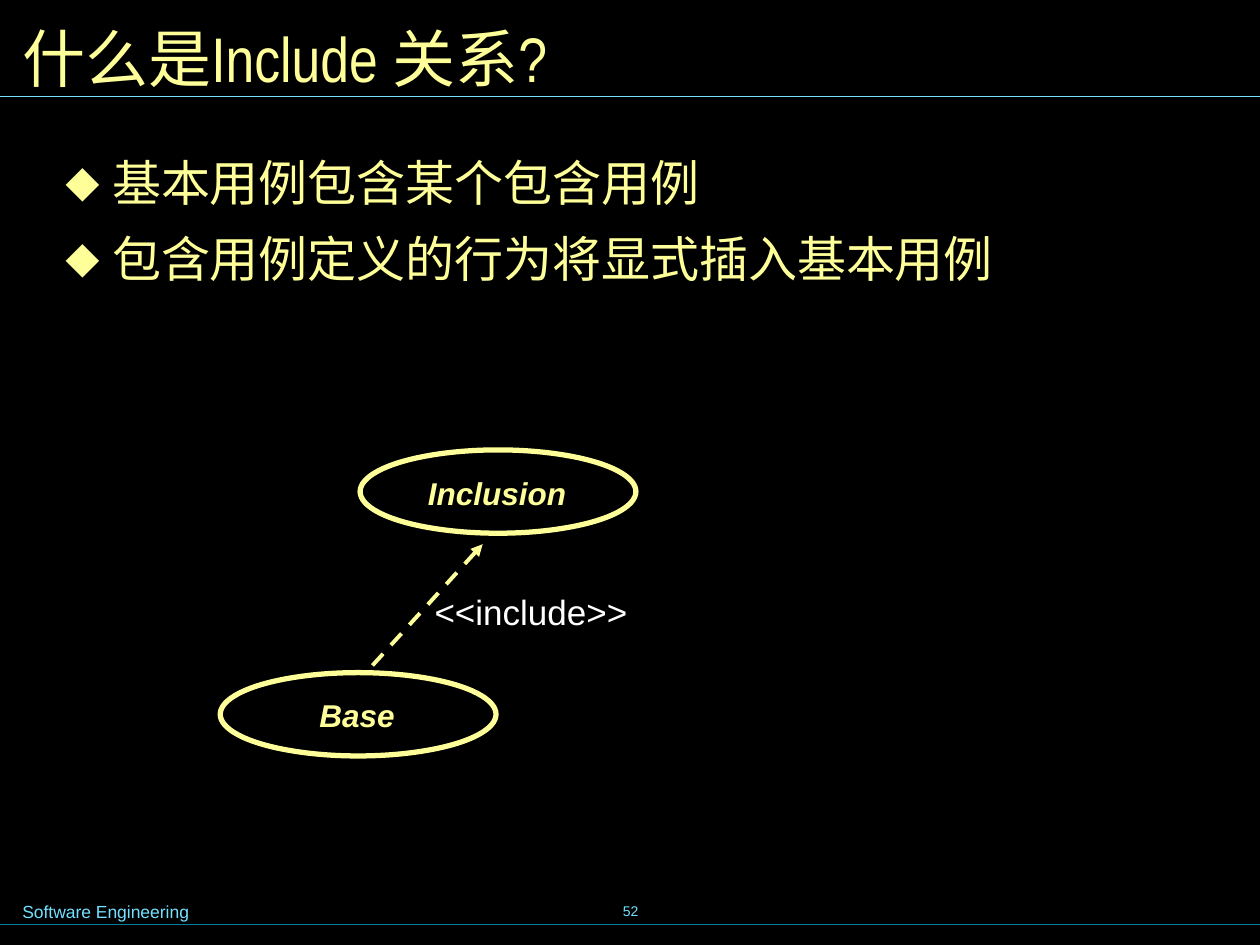
from dataclasses import dataclass

from lxml import etree
from pptx import Presentation
from pptx.dml.color import RGBColor
from pptx.enum.dml import MSO_LINE
from pptx.enum.shapes import MSO_CONNECTOR, MSO_SHAPE
from pptx.enum.text import MSO_ANCHOR, MSO_AUTO_SIZE, PP_ALIGN
from pptx.oxml.ns import qn
from pptx.util import Cm, Pt

LEFT, CENTER = PP_ALIGN.LEFT, PP_ALIGN.CENTER
TOP, MIDDLE = MSO_ANCHOR.TOP, MSO_ANCHOR.MIDDLE
STRAIGHT, OVAL, DASH = MSO_CONNECTOR.STRAIGHT, MSO_SHAPE.OVAL, MSO_LINE.DASH
FIXED, GROW = MSO_AUTO_SIZE.NONE, MSO_AUTO_SIZE.SHAPE_TO_FIT_TEXT


@dataclass(frozen=True)
class Theme:
    background: str = "000000"
    accent: str = "FFFF99"
    label: str = "FFFFFF"
    rule: str = "73E1FF"
    footer_rule: str = "007E9F"
    font: str = "Arial"
    title_font: str = "Arial Narrow"
    title_size: int = 36
    body_size: int = 28
    stereotype_size: int = 20
    use_case_size: int = 18
    footer_size: int = 10
    number_size: int = 8


THEME = Theme()
NARROW_INSETS, WIDE_INSETS = (0.25, 0.13), (0.3, 0.15)


@dataclass(frozen=True)
class Box:
    left: float
    top: float
    width: float
    height: float

    def lengths(self) -> list:
        return [Cm(v) for v in (self.left, self.top, self.width, self.height)]


@dataclass(frozen=True)
class Label:
    text: str
    box: Box
    size: int
    color: str = THEME.accent
    align: PP_ALIGN = LEFT
    anchor: MSO_ANCHOR = TOP
    fit: MSO_AUTO_SIZE = GROW
    wrap: bool = False
    insets: tuple = WIDE_INSETS
    strong: bool = False


@dataclass(frozen=True)
class Line:
    start: tuple
    end: tuple
    color: str
    width: float


def apply(target, values: dict) -> None:
    for attribute, value in values.items():
        setattr(target, attribute, value)


def format_frame(frame, insets: tuple, anchor, fit, wrap: bool) -> None:
    side, edge = map(Cm, insets)
    apply(frame, {"margin_left": side, "margin_right": side,
                  "margin_top": edge, "margin_bottom": edge,
                  "auto_size": fit, "word_wrap": wrap,
                  "vertical_anchor": anchor})


def format_font(font, name: str, size: int, color: str, strong: bool = False) -> None:
    apply(font, {"name": name, "size": Pt(size), "bold": strong, "italic": strong})
    font.color.rgb = RGBColor.from_string(color)


def place(shape, box: Box) -> None:
    apply(shape, dict(zip(("left", "top", "width", "height"), box.lengths())))


def add_label(slide, label: Label) -> None:
    frame = slide.shapes.add_textbox(*label.box.lengths()).text_frame
    format_frame(frame, label.insets, label.anchor, label.fit, label.wrap)
    paragraph = frame.paragraphs[0]
    paragraph.text, paragraph.alignment = label.text, label.align
    format_font(paragraph.runs[0].font, THEME.font, label.size, label.color, label.strong)


def add_line(slide, line: Line):
    connector = slide.shapes.add_connector(
        STRAIGHT, *(Cm(v) for v in line.start + line.end))
    connector.line.color.rgb = RGBColor.from_string(line.color)
    connector.line.width = Pt(line.width)
    etree.SubElement(connector._element.spPr, qn("a:effectLst"))
    return connector


def add_use_case(slide, outline: Box, name: Label) -> None:
    oval = slide.shapes.add_shape(OVAL, *outline.lengths())
    oval.shadow.inherit = False
    oval.fill.background()
    oval.line.color.rgb = RGBColor.from_string(THEME.accent)
    oval.line.width = Pt(3)
    add_label(slide, name)


def add_bullet(paragraph, text: str) -> None:
    paragraph.text = text
    properties = paragraph._p.get_or_add_pPr()
    apply(paragraph, {"alignment": LEFT, "space_after": Pt(5)})
    indent = Cm(0.94)
    properties.set("marL", str(indent))
    properties.set("indent", str(-indent))
    bullet_color = etree.SubElement(properties, qn("a:buClr"))
    etree.SubElement(bullet_color, qn("a:srgbClr"), val=THEME.accent)
    etree.SubElement(properties, qn("a:buChar"), char="⬥")
    format_font(paragraph.runs[0].font, THEME.font, THEME.body_size, THEME.accent)


def main() -> None:
    deck = Presentation()
    deck.slide_width, deck.slide_height = Cm(25.4), Cm(19.05)
    slide = deck.slides.add_slide(deck.slide_layouts[1])
    slide.background.fill.solid()
    slide.background.fill.fore_color.rgb = RGBColor.from_string(THEME.background)

    # Title
    title = slide.shapes.title
    place(title, Box(0.2, 0.2, 25, 1.9))
    format_frame(title.text_frame, NARROW_INSETS, MIDDLE, FIXED, True)
    heading = title.text_frame.paragraphs[0]
    heading.text, heading.alignment = "什么是Include 关系?", LEFT
    format_font(heading.runs[0].font, THEME.title_font, THEME.title_size, THEME.accent)

    # Bulleted definition
    body = slide.placeholders[1]
    place(body, Box(1.02, 2.92, 22.83, 14.02))
    frame = body.text_frame
    format_frame(frame, WIDE_INSETS, TOP, FIXED, True)
    points = ("基本用例包含某个包含用例", "包含用例定义的行为将显式插入基本用例")
    for index, point in enumerate(points):
        paragraph = frame.add_paragraph() if index else frame.paragraphs[0]
        paragraph.space_before = Pt(5 if index else 0)
        add_bullet(paragraph, point)

    # Rules and footer
    add_line(slide, Line((0, 18.63), (25.5, 18.63), THEME.footer_rule, 0.75))
    add_line(slide, Line((0, 1.94), (25.4, 1.94), THEME.rule, 0.75))
    add_label(slide, Label("52", Box(8.69, 17.73, 8.05, 1.27), THEME.number_size,
                           THEME.rule, CENTER, MIDDLE, FIXED, insets=NARROW_INSETS))
    add_label(slide, Label("Software Engineering", Box(0.2, 18.03, 7.49, 0.69),
                           THEME.footer_size, THEME.rule, wrap=True,
                           insets=NARROW_INSETS))

    # Use cases, each name box wide enough for its name on one line
    use_cases = (
        ("Base", Box(4.44, 13.56, 5.56, 1.68), Box(5.9, 13.89, 2.6, 1.07)),
        ("Inclusion", Box(7.26, 9.07, 5.56, 1.68), Box(8.07, 9.4, 3.9, 1.07)),
    )
    for name, outline, name_box in use_cases:
        add_use_case(slide, outline, Label(name, name_box, THEME.use_case_size,
                                           align=CENTER, strong=True))

    # Include relationship, with its arrowhead at the inclusion end
    include = add_line(slide, Line((9.73, 10.97), (7.44, 13.49), THEME.accent, 2.25))
    include.line.dash_style = DASH
    etree.SubElement(include.line._get_or_add_ln(), qn("a:headEnd"), type="triangle")
    add_label(slide, Label("<<include>>", Box(8.46, 11.76, 4.6, 1.14),
                           THEME.stereotype_size, THEME.label))

    deck.save("out.pptx")


if __name__ == "__main__":
    main()
